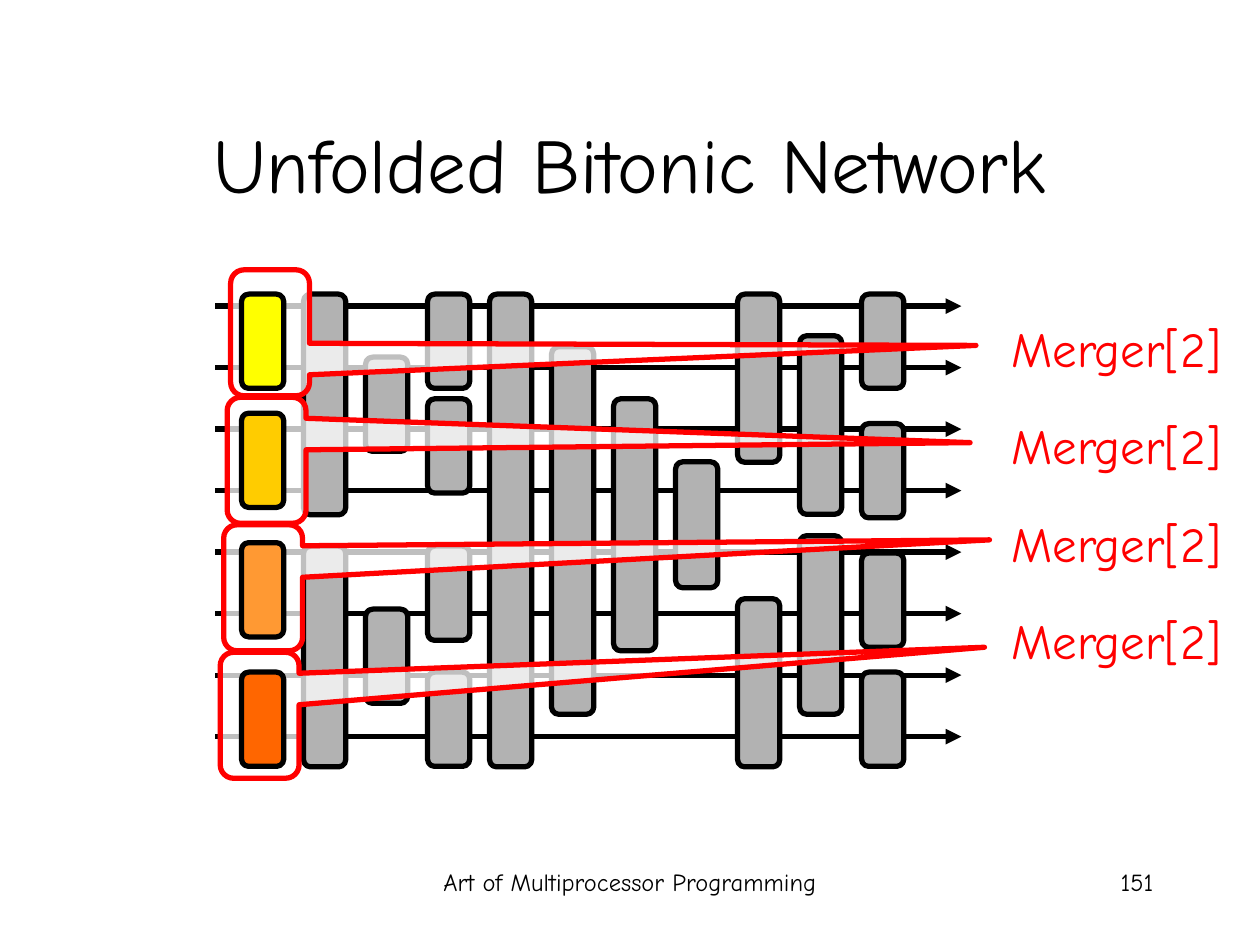
from lxml import etree
from pptx import Presentation
from pptx.dml.color import RGBColor
from pptx.enum.shapes import MSO_CONNECTOR, MSO_SHAPE
from pptx.enum.text import MSO_ANCHOR, PP_ALIGN
from pptx.oxml.ns import qn
from pptx.util import Cm, Pt

STRAIGHT = MSO_CONNECTOR.STRAIGHT
ROUNDED = MSO_SHAPE.ROUNDED_RECTANGLE
CALLOUT = MSO_SHAPE.ROUNDED_RECTANGULAR_CALLOUT
CENTER, RIGHT = PP_ALIGN.CENTER, PP_ALIGN.RIGHT
TOP, MIDDLE = MSO_ANCHOR.TOP, MSO_ANCHOR.MIDDLE

FONT = "Comic Neue"
BLACK, GRAY, WHITE, RED = "000000", "B2B2B2", "FFFFFF", "FF0000"

TITLE = "Unfolded Bitonic Network"
FOOTER = "Art of Multiprocessor Programming"
PAGE = "151"
BALANCERS = {
    1: [(5.93, 4.45), (11.01, 4.45)],
    2: [(7.2, 1.9), (12.28, 1.9)],
    3: [(5.93, 1.9), (8.04, 1.9), (11.01, 1.9), (13.55, 1.9)],
    4: [(5.93, 9.53)],
    5: [(6.99, 7.41)],
    6: [(8.04, 5.08)],
    7: [(9.31, 2.54)],
    8: [(5.93, 3.39), (12.07, 3.39)],
    9: [(6.77, 3.6), (10.8, 3.6)],
    10: [(5.93, 1.9), (8.54, 1.9), (11.15, 1.9), (13.55, 1.9)],
}
MERGERS = [
    ("Merger[2]", "FFFF00", 5.93, 8.95, 0.1),
    ("Merger[2]", "FFCC00", 8.33, 8.92, -0.14),
    ("Merger[2]", "FF9933", 10.94, 9.21, -0.38),
    ("Merger[2]", "FF6600", 13.55, 9.19, -0.54),
]

WIRES, WIRE_X, WIRE_END, WIRE_Y, WIRE_GAP = 8, 4.34, 19.38, 6.17, 1.24
COL_X, COL_GAP, BAR_W, BAR_H = 4.87, 1.25, 0.85, 1.9
CALL_X, CALL_Y, CALL_W, CALL_H = 4.65, 5.44, 1.59, 2.54
CALL_DX, CALL_GAP = -0.07, 2.57
LABEL_Y, LABEL_GAP = 6.3, 1.96


def rgb(color):
    return RGBColor.from_string(color)


def add_text(s, text, x, y, w, h, size, color=BLACK, align=CENTER,
             anchor=TOP, wrap=True):
    tf = s.shapes.add_textbox(Cm(x), Cm(y), Cm(w), Cm(h)).text_frame
    tf.word_wrap = wrap
    tf.vertical_anchor = anchor
    p = tf.paragraphs[0]
    p.alignment = align
    r = p.add_run()
    r.text = text
    r.font.name = FONT
    r.font.size = Pt(size)
    r.font.color.rgb = rgb(color)


def add_block(s, kind, x, y, w, h, fill, line, adjustments):
    sp = s.shapes.add_shape(kind, Cm(x), Cm(y), Cm(w), Cm(h))
    sp.shadow.inherit = False
    sp.fill.solid()
    sp.fill.fore_color.rgb = rgb(fill)
    sp.line.color.rgb = rgb(line)
    sp.line.width = Pt(3)
    for i, value in enumerate(adjustments):
        sp.adjustments[i] = value
    return sp


def add_bar(s, col, y, h, fill=GRAY):
    add_block(s, ROUNDED, COL_X + col * COL_GAP, y, BAR_W, h, fill, BLACK, [0.17])


def add_callout(s, i, tip_x, tip_y):
    sp = add_block(s, CALLOUT, CALL_X + i * CALL_DX, CALL_Y + i * CALL_GAP,
                   CALL_W, CALL_H, WHITE, RED, [tip_x, tip_y, 0.17])
    clr = sp.fill._xPr.find(qn("a:solidFill"))[0]
    etree.SubElement(clr, qn("a:alpha")).set("val", "75000")


def add_wire(s, y):
    c = s.shapes.add_connector(STRAIGHT, Cm(WIRE_X), Cm(y), Cm(WIRE_END), Cm(y))
    c.line.color.rgb = rgb(BLACK)
    c.line.width = Pt(3)
    etree.SubElement(c.line._get_or_add_ln(), qn("a:tailEnd")).set("type", "triangle")
    etree.SubElement(c._element.spPr, qn("a:effectLst"))


def main():
    prs = Presentation()
    prs.slide_width, prs.slide_height = Cm(25.4), Cm(19.05)
    s = prs.slides.add_slide(prs.slide_layouts[6])

    for i in range(WIRES):
        add_wire(s, WIRE_Y + i * WIRE_GAP)
    for col, bars in BALANCERS.items():
        for y, h in bars:
            add_bar(s, col, y, h)
    for i, (label, fill, y, tip_x, tip_y) in enumerate(MERGERS):
        add_callout(s, i, tip_x, tip_y)
        add_bar(s, 0, y, BAR_H, fill)
        add_text(s, label, 20.12, LABEL_Y + i * LABEL_GAP, 4.78, 1.45, 28,
                 color=RED, wrap=False)

    add_text(s, TITLE, 1.9, 1.7, 21.6, 3.18, 44, anchor=MIDDLE)
    add_text(s, FOOTER, 8.68, 17.36, 8.04, 1.27, 14)
    add_text(s, PAGE, 18.2, 17.36, 5.3, 1.27, 14, align=RIGHT)
    prs.save("out.pptx")


if __name__ == "__main__":
    main()
